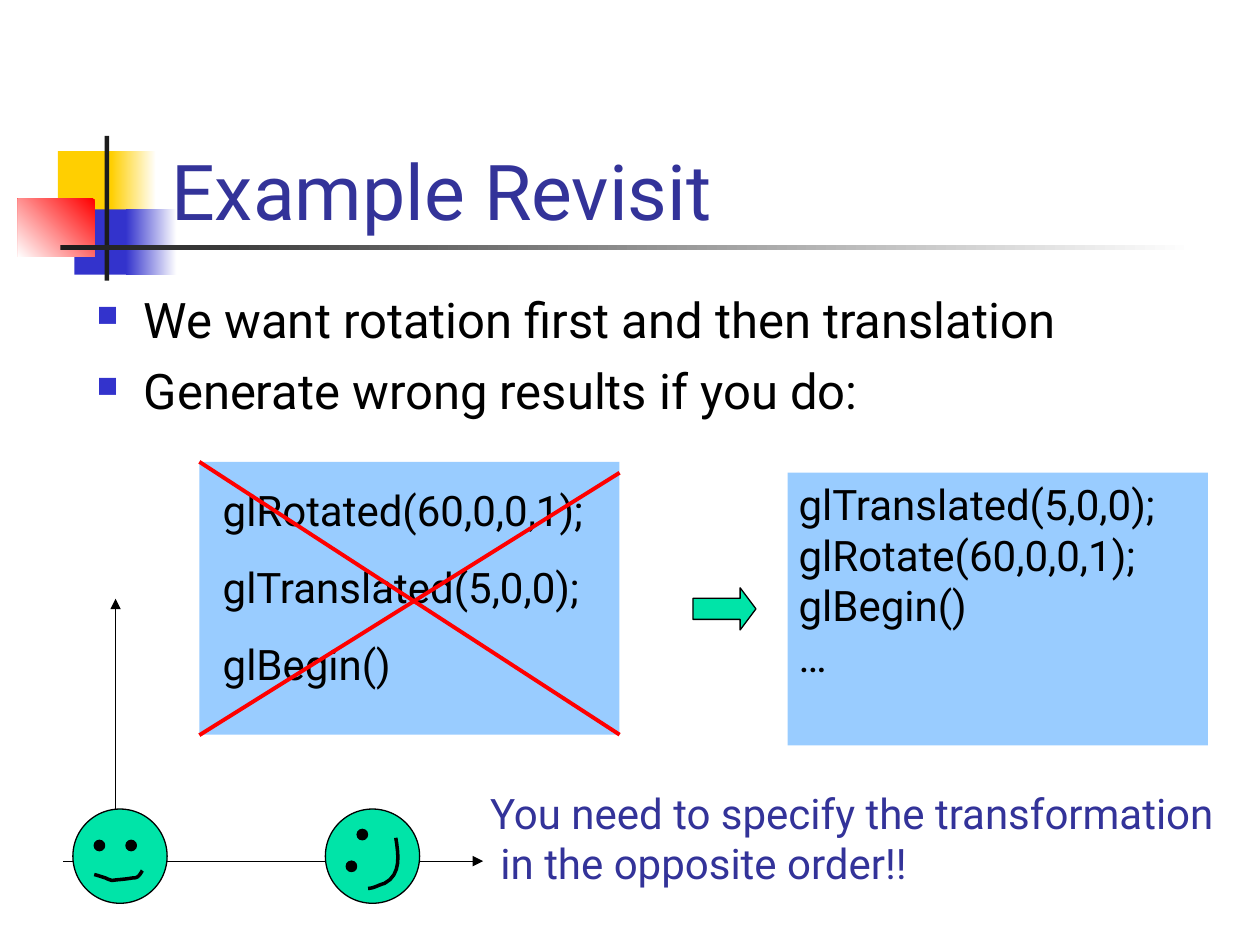
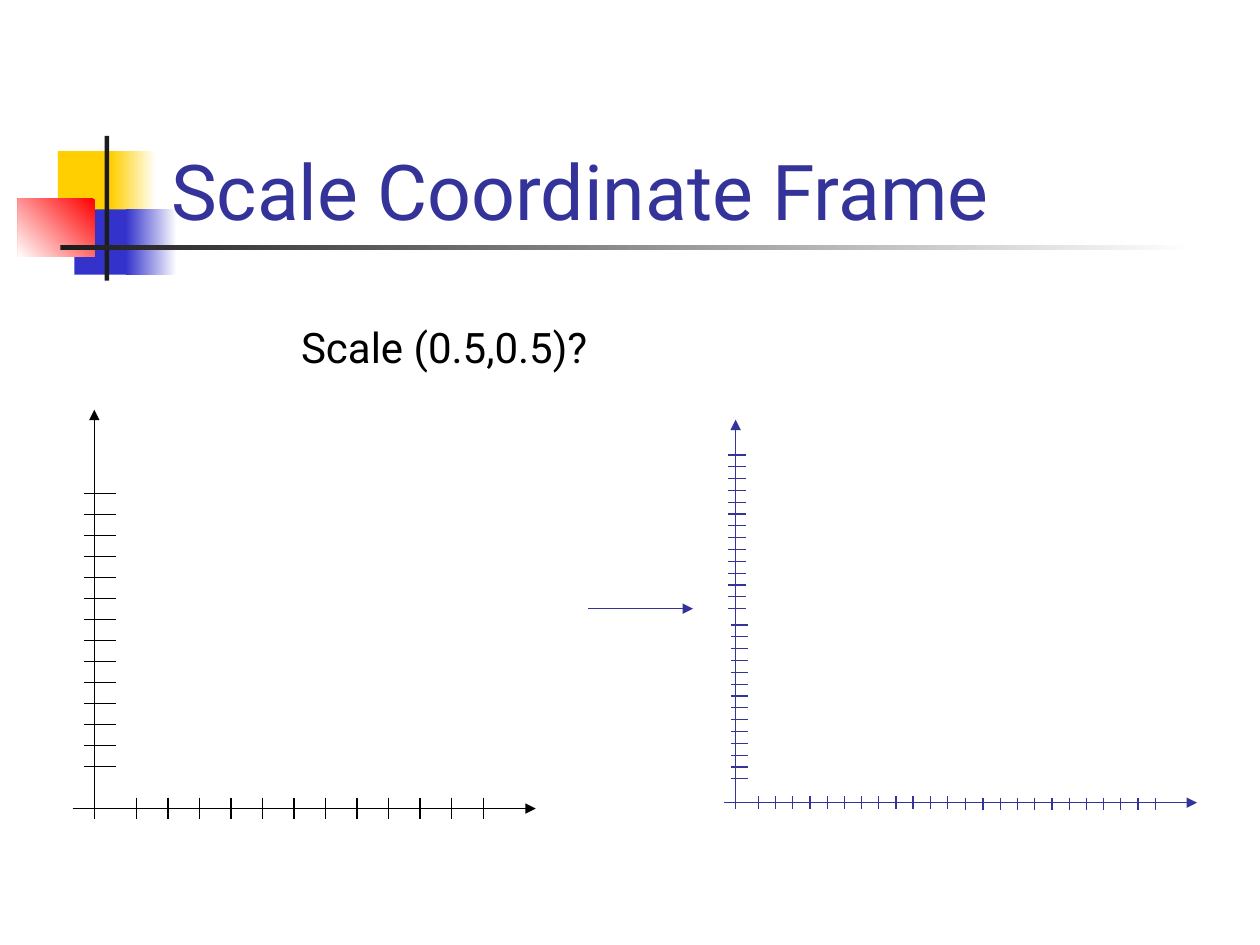
from lxml import etree
from pptx import Presentation
from pptx.dml.color import RGBColor
from pptx.enum.shapes import MSO_CONNECTOR, MSO_SHAPE
from pptx.enum.text import MSO_ANCHOR
from pptx.oxml.ns import qn
from pptx.util import Cm, Pt

RECT = MSO_SHAPE.RECTANGLE
OVAL = MSO_SHAPE.OVAL
RIGHT_ARROW = MSO_SHAPE.RIGHT_ARROW
STRAIGHT = MSO_CONNECTOR.STRAIGHT
TOP, BOTTOM = MSO_ANCHOR.TOP, MSO_ANCHOR.BOTTOM

FONT = "Roboto"
COLORS = {
    "ink": "000000", "navy": "333399", "white": "FFFFFF", "yellow": "FFCF01",
    "blue": "3333CC", "red": "FF0000", "charcoal": "1C1C1C",
    "mint": "00E4A8", "panel": "99CCFF",
}

EMBLEM = [
    ((1.17, 3.05, 1.22, 1.32), "yellow", None),
    ((2.24, 3.05, 0.91, 1.32), "yellow", 0),
    ((1.5, 4.22, 1.17, 1.32), "blue", None),
    ((2.54, 4.22, 1.02, 1.32), "blue", 0),
    ((0.36, 4.01, 1.55, 1.17), "red", 225),
    ((2.11, 2.74, 0.09, 2.92), "charcoal", None),
    ((1.22, 4.94, 22.86, 0.1), "charcoal", 0),
]
TITLE_BOX = (3.2, 1.7, 21.64, 3.18)

POINTS = ["We want rotation first and then translation",
          "Generate wrong results if you do:"]
WRONG_CODE = ["glRotated(60,0,0,1);", "glTranslated(5,0,0);", "glBegin()"]
RIGHT_CODE = ["glTranslated(5,0,0);", "glRotate(60,0,0,1);", "glBegin()", "…"]
ADVICE = ["You need to specify the transformation", "in the opposite order!!"]

PANEL_SIZE = (8.47, 5.5)
WRONG_PANEL = (4.02, 9.31)
RIGHT_PANEL = (15.88, 9.53)
CROSS = [((12.49, 9.53), (4.02, 14.82)), ((4.02, 9.31), (12.49, 14.81))]
WORLD_AXES = [((1.27, 17.36), (9.74, 17.36)), ((2.33, 18.2), (2.33, 12.07))]

HEAD_SIZE, EYE_SIZE = 1.9, 0.21
FACES = [
    {"head": (1.47, 16.31), "eyes": [(1.9, 16.94), (2.54, 16.94)],
     "mouth": [(1.9, 17.63), (1.98, 17.65), (2.06, 17.68), (2.13, 17.7),
               (2.18, 17.73), (2.26, 17.75), (2.26, 17.75),
               (2.39, 17.73), (2.51, 17.73), (2.67, 17.7),
               (2.69, 17.7), (2.74, 17.7), (2.77, 17.68),
               (2.82, 17.65), (2.87, 17.55), (2.87, 17.55)]},
    {"head": (6.56, 16.31), "eyes": [(6.98, 17.36), (7.2, 16.72)],
     "mouth": [(7.98, 16.89), (8.03, 17.22), (8.1, 17.63), (7.75, 17.81),
               (7.65, 17.83), (7.54, 17.91), (7.42, 17.91)]},
]

FRAMES = [
    {"color": "ink",
     "axes": [((1.9, 16.51), (1.9, 8.26)), ((1.47, 16.3), (10.8, 16.3))],
     "x_ticks": [(2.75, 9.74, 12, 16.08, 16.51)],
     "y_ticks": [(15.45, 9.95, 14, 1.69, 2.33)]},
    {"color": "navy",
     "axes": [((14.83, 16.3), (14.83, 8.46)), ((14.6, 16.18), (24.13, 16.18))],
     "x_ticks": [(15.29, 19.1, 12, 16.05, 16.3), (19.47, 23.29, 12, 16.08, 16.33)],
     "y_ticks": [(15.7, 12.6, 14, 14.73, 15.07), (12.27, 9.17, 14, 14.68, 15.03)]},
]
SCALE_ARROW = ((11.85, 12.27), (13.97, 12.27))


def rgb(name):
    return RGBColor.from_string(COLORS[name])


def cm(values):
    return [Cm(value) for value in values]


def add_text(slide, box, lines, size=24, color="ink", anchor=TOP,
             gap=0, bullet=None, indents=()):
    frame = slide.shapes.add_textbox(*cm(box)).text_frame
    frame.word_wrap = True
    frame.vertical_anchor = anchor
    for index, line in enumerate(lines):
        paragraph = frame.paragraphs[0] if index == 0 else frame.add_paragraph()
        props = paragraph._p.get_or_add_pPr()
        if bullet:
            props.set("marL", str(Cm(0.95)))
            props.set("indent", str(-Cm(0.95)))
            tint = etree.SubElement(props, qn("a:buClr"))
            etree.SubElement(tint, qn("a:srgbClr"), val=COLORS[bullet])
            etree.SubElement(props, qn("a:buSzPct"), val="60000")
            etree.SubElement(props, qn("a:buChar"), char="■")
        elif indents:
            props.set("marL", str(Cm(indents[index])))
        if index and gap:
            paragraph.space_before = Pt(gap)
        run = paragraph.add_run()
        run.text = line
        run.font.name = FONT
        run.font.size = Pt(size)
        run.font.color.rgb = rgb(color)


def add_block(slide, kind, box, fill, outline=None, fade=None):
    block = slide.shapes.add_shape(kind, *cm(box))
    block.shadow.inherit = False
    if fade is None:
        block.fill.solid()
        block.fill.fore_color.rgb = rgb(fill)
    else:
        block.fill.gradient()
        block.fill.gradient_angle = fade
        for stop, name in zip(block.fill.gradient_stops, (fill, "white")):
            stop.color.rgb = rgb(name)
    if outline:
        block.line.color.rgb = rgb(outline)
        block.line.width = Pt(0.75)
    else:
        block.line.fill.background()
    return block


def add_line(slide, start, end, color="ink", width=0.75, arrow=False):
    line = slide.shapes.add_connector(STRAIGHT, *cm(start + end))
    line.line.color.rgb = rgb(color)
    line.line.width = Pt(width)
    props = line.element.spPr
    if arrow:
        etree.SubElement(props.find(qn("a:ln")), qn("a:tailEnd"), type="triangle")
    etree.SubElement(props, qn("a:effectLst"))


def curve_points(controls, steps=8):
    points = []
    for first in range(0, len(controls) - 1, 3):
        a, b, c, d = controls[first:first + 4]
        for step in range(1, steps + 1):
            t = step / steps
            u = 1 - t
            points.append(tuple(
                Cm(u**3 * a[i] + 3 * u * u * t * b[i] + 3 * u * t * t * c[i] + t**3 * d[i])
                for i in (0, 1)))
    return points


def add_face(slide, head, eyes, mouth):
    add_block(slide, OVAL, head + (HEAD_SIZE, HEAD_SIZE), "mint", "ink")
    for eye in eyes:
        add_block(slide, OVAL, eye + (EYE_SIZE, EYE_SIZE), "ink", "ink")
    builder = slide.shapes.build_freeform(*cm(mouth[0]))
    builder.add_line_segments(curve_points(mouth), close=False)
    smile = builder.convert_to_shape()
    smile.shadow.inherit = False
    smile.fill.background()
    smile.line.color.rgb = rgb("ink")
    smile.line.width = Pt(2)


def spread(first, last, count):
    return [first + (last - first) * i / (count - 1) for i in range(count)]


def add_frame(slide, color, axes, x_ticks, y_ticks):
    for start, end in axes:
        add_line(slide, start, end, color, arrow=True)
    for first, last, count, top, bottom in x_ticks:
        for x in spread(first, last, count):
            add_line(slide, (x, top), (x, bottom), color)
    for first, last, count, left, right in y_ticks:
        for y in spread(first, last, count):
            add_line(slide, (left, y), (right, y), color)


def add_slide(deck, title):
    slide = deck.slides.add_slide(deck.slide_layouts[6])
    for box, fill, fade in EMBLEM:
        add_block(slide, RECT, box, fill, fade=fade)
    add_text(slide, TITLE_BOX, [title], size=44, color="navy", anchor=BOTTOM)
    return slide


def build_revisit(deck):
    slide = add_slide(deck, "Example Revisit")
    add_text(slide, (1.7, 5.72, 21.59, 11.43), POINTS, size=28, gap=7, bullet="blue")
    for start, end in WORLD_AXES:
        add_line(slide, start, end, arrow=True)
    for face in FACES:
        add_face(slide, **face)
    for corner in (WRONG_PANEL, RIGHT_PANEL):
        add_block(slide, RECT, corner + PANEL_SIZE, "panel")
    add_text(slide, (4.24, 9.65, 11.43, 4.37), WRONG_CODE, gap=15)
    add_text(slide, (15.85, 9.53, 8.5, 4.32), RIGHT_CODE)
    arrow = add_block(slide, RIGHT_ARROW, (13.97, 11.85, 1.27, 0.85), "mint", "ink")
    arrow.adjustments[1] = 0.375
    for start, end in CROSS:
        add_line(slide, start, end, "red", 2.25)
    add_text(slide, (9.63, 15.75, 16.03, 2.29), ADVICE, color="navy", indents=(0, 0.21))


def build_scale(deck):
    slide = add_slide(deck, "Scale Coordinate Frame")
    add_text(slide, (5.82, 6.35, 6.8, 1.27), ["Scale (0.5,0.5)?"])
    for frame in FRAMES:
        add_frame(slide, **frame)
    add_line(slide, *SCALE_ARROW, "navy", arrow=True)


def main():
    deck = Presentation()
    deck.slide_width, deck.slide_height = cm((25.4, 19.05))
    build_revisit(deck)
    build_scale(deck)
    deck.save("out.pptx")


if __name__ == "__main__":
    main()
